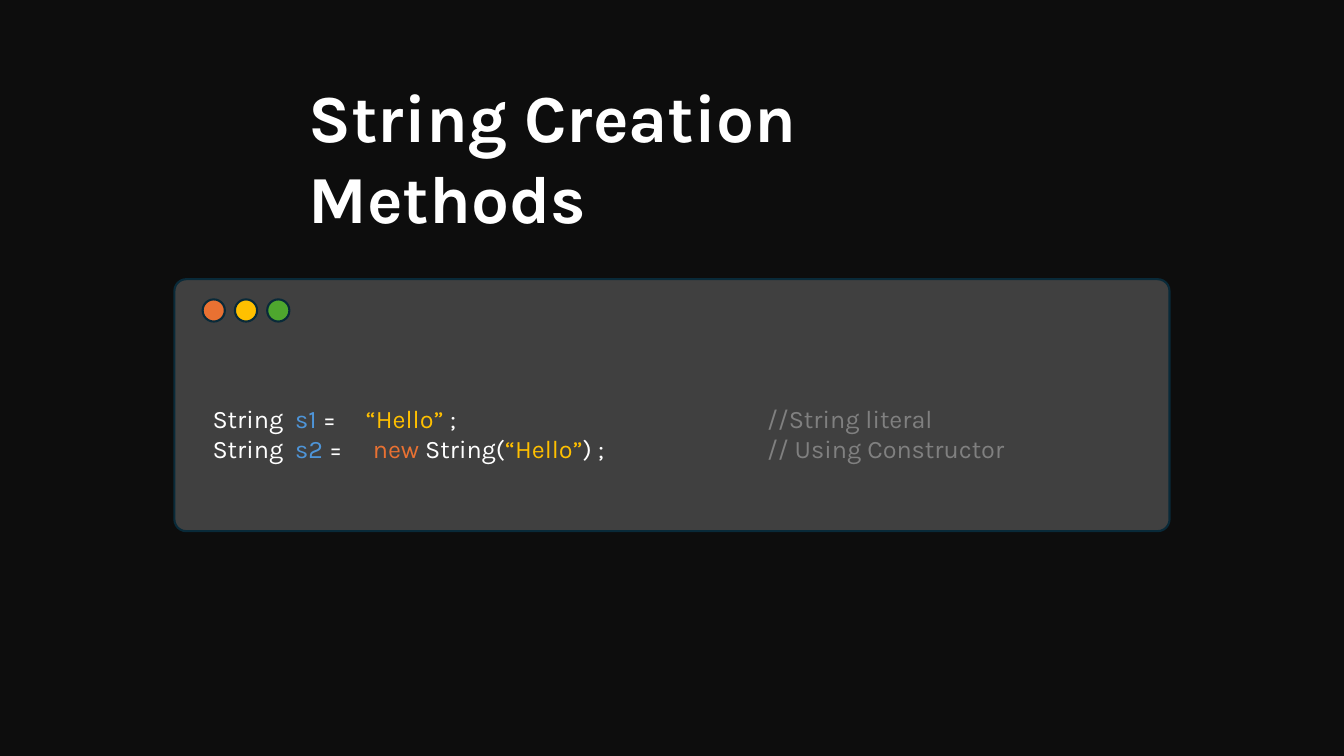
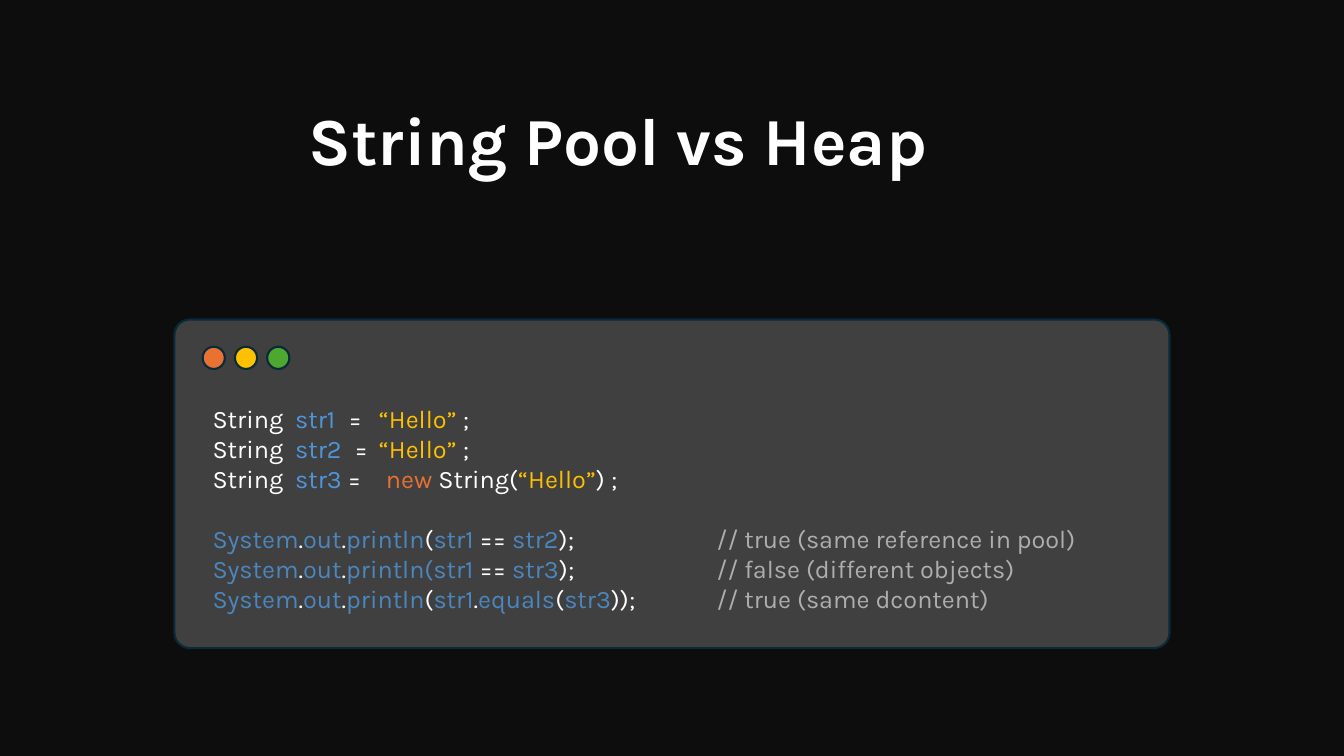
from dataclasses import dataclass

from lxml.etree import SubElement
from pptx import Presentation
from pptx.dml.color import RGBColor
from pptx.enum.shapes import MSO_SHAPE as Shape
from pptx.enum.text import MSO_ANCHOR as Anchor, MSO_AUTO_SIZE as AutoSize, PP_ALIGN as Align
from pptx.oxml.ns import qn
from pptx.util import Inches, Pt

# Shared look
COLORS = {
    "back": "0D0D0D", "panel": "404040", "outline": "092A39",
    "white": "FFFFFF", "orange": "E97132", "yellow": "FFC000", "green": "4EA72E",
    "var": "4E95D9", "call": "4B86BE", "dim": "808080", "note": "AEAEAE",
}
TITLE_FONT = {"name": "Karla", "size": Pt(48), "bold": True}
CODE_FONT = {"name": "Karla", "size": Pt(18)}
TITLE_FRAME = {"word_wrap": True, "auto_size": AutoSize.SHAPE_TO_FIT_TEXT,
               "vertical_anchor": Anchor.TOP}
CODE_FRAME = {"word_wrap": True, "auto_size": AutoSize.SHAPE_TO_FIT_TEXT}

PANEL_LEFT, PANEL_WIDTH, PANEL_CORNER = 1.73, 9.87, 0.047
CODE_LEFT, CODE_TOP, CODE_WIDTH = 2.01, 3.95, 8.97
DOT_SIZE, DOT_STEP = 0.22, 0.32
DOT_COLORS = ("orange", "yellow", "green")
NAME_STOP = 0.82


@dataclass(frozen=True)
class CodeLine:
    spans: tuple[tuple[str, str], ...]  # (text, colour name)
    stops: tuple[float, ...]            # tab stops in inches
    space_before: float = 0             # points


@dataclass(frozen=True)
class CodeSlide:
    title: str
    title_top: float
    panel_top: float
    panel_height: float
    dots_top: float
    code_height: float
    lines: tuple[CodeLine, ...]


def declare(name: str, equals: str, value: tuple, stops: tuple, comment: str = "") -> CodeLine:
    """A String declaration, with an optional comment."""
    spans = (("String\t", "white"), (name, "var"), (equals, "white"), *value)
    if comment:
        spans += (("\t", "white"), (comment, "dim"))
    return CodeLine(spans, (NAME_STOP, *stops))


def output(arguments: tuple, comment: str, space_before: float = 0) -> CodeLine:
    """A println call followed by its result."""
    spans = (("System", "call"), (".", "white"), ("out", "call"), (".", "white"),
             *arguments, ("\t", "white"), (comment, "note"))
    return CodeLine(spans, (5,), space_before)


# Content
LITERAL = (("“Hello”", "yellow"), (" ;", "white"))
CONSTRUCTED = (("new", "orange"), (" String(", "white"), ("“Hello”", "yellow"), (") ;", "white"))

SLIDES = (
    CodeSlide("String Creation Methods", 0.7, 2.77, 2.5, 2.97, 0.71, (
        declare("s1", " =\t", LITERAL, (1.52, 5.5), "//String literal"),
        declare("s2", " =\t", CONSTRUCTED, (1.59, 5.5), "// Using Constructor"),
    )),
    CodeSlide("String Pool vs Heap", 0.93, 3.17, 3.26, 3.44, 2.22, (
        declare("str1", "\t=\t", LITERAL, (1.35, 1.65)),
        declare("str2", "\t=\t", LITERAL, (1.41, 1.65)),
        declare("str3", " =\t", CONSTRUCTED, (1.72,)),
        output((("println", "call"), ("(", "white"), ("str1 ", "call"), ("==", "white"),
                (" str2", "call"), (");", "white")),
               "// true (same reference in pool)", 21),
        output((("println(str1 ", "call"), ("==", "white"), (" str3", "call"), (");", "white")),
               "// false (different objects)"),
        output((("println", "call"), ("(", "white"), ("str1", "call"), (".", "white"),
                ("equals", "call"), ("(", "white"), ("str3", "call"), ("));", "white")),
               "// true (same dcontent)"),
    )),
)


# Drawing helpers
def rgb(name: str) -> RGBColor:
    return RGBColor.from_string(COLORS[name])


def apply(target, values: dict) -> None:
    for name, value in values.items():
        setattr(target, name, value)


def add_run(p, text: str, color: str, font: dict) -> None:
    r = p.add_run()
    r.text = text
    apply(r.font, font)
    r.font.color.rgb = rgb(color)


def add_box(s, kind: Shape, left: float, top: float, width: float, height: float, fill: str):
    sp = s.shapes.add_shape(kind, Inches(left), Inches(top), Inches(width), Inches(height))
    sp.shadow.inherit = False
    sp.fill.solid()
    sp.fill.fore_color.rgb = rgb(fill)
    sp.line.color.rgb = rgb("outline")
    sp.line.width = Pt(1.5)
    return sp


def set_tab_stops(p, stops: tuple[float, ...]) -> None:
    tabs = SubElement(p._p.get_or_add_pPr(), qn("a:tabLst"))
    for stop in stops:
        SubElement(tabs, qn("a:tab"), pos=str(Inches(stop)), algn="l")


def add_title(s, text: str, top: float) -> None:
    sp = s.shapes.title
    apply(sp, {"left": Inches(2.96), "top": Inches(top),
               "width": Inches(7.69), "height": Inches(0.91)})
    apply(sp.text_frame, TITLE_FRAME)
    p = sp.text_frame.paragraphs[0]
    p.alignment = Align.LEFT
    add_run(p, text, "white", TITLE_FONT)


def add_window(s, page: CodeSlide) -> None:
    panel = add_box(s, Shape.ROUNDED_RECTANGLE, PANEL_LEFT, page.panel_top,
                    PANEL_WIDTH, page.panel_height, "panel")
    panel.adjustments[0] = PANEL_CORNER
    for i, color in enumerate(DOT_COLORS):
        add_box(s, Shape.OVAL, CODE_LEFT + i * DOT_STEP, page.dots_top,
                DOT_SIZE, DOT_SIZE, color)


def add_code(s, page: CodeSlide) -> None:
    sp = s.shapes.add_textbox(Inches(CODE_LEFT), Inches(CODE_TOP),
                              Inches(CODE_WIDTH), Inches(page.code_height))
    tf = sp.text_frame
    apply(tf, CODE_FRAME)
    for i, line in enumerate(page.lines):
        p = tf.add_paragraph() if i else tf.paragraphs[0]
        p.space_before = Pt(line.space_before)
        set_tab_stops(p, line.stops)
        for text, color in line.spans:
            add_run(p, text, color, CODE_FONT)


def main() -> None:
    prs = Presentation()
    prs.slide_width, prs.slide_height = Inches(13.33), Inches(7.5)
    back = prs.slide_master.background.fill
    back.solid()
    back.fore_color.rgb = rgb("back")
    title_only = prs.slide_layouts[5]
    for page in SLIDES:
        s = prs.slides.add_slide(title_only)
        add_title(s, page.title, page.title_top)
        add_window(s, page)
        add_code(s, page)
    prs.save("out.pptx")


if __name__ == "__main__":
    main()
